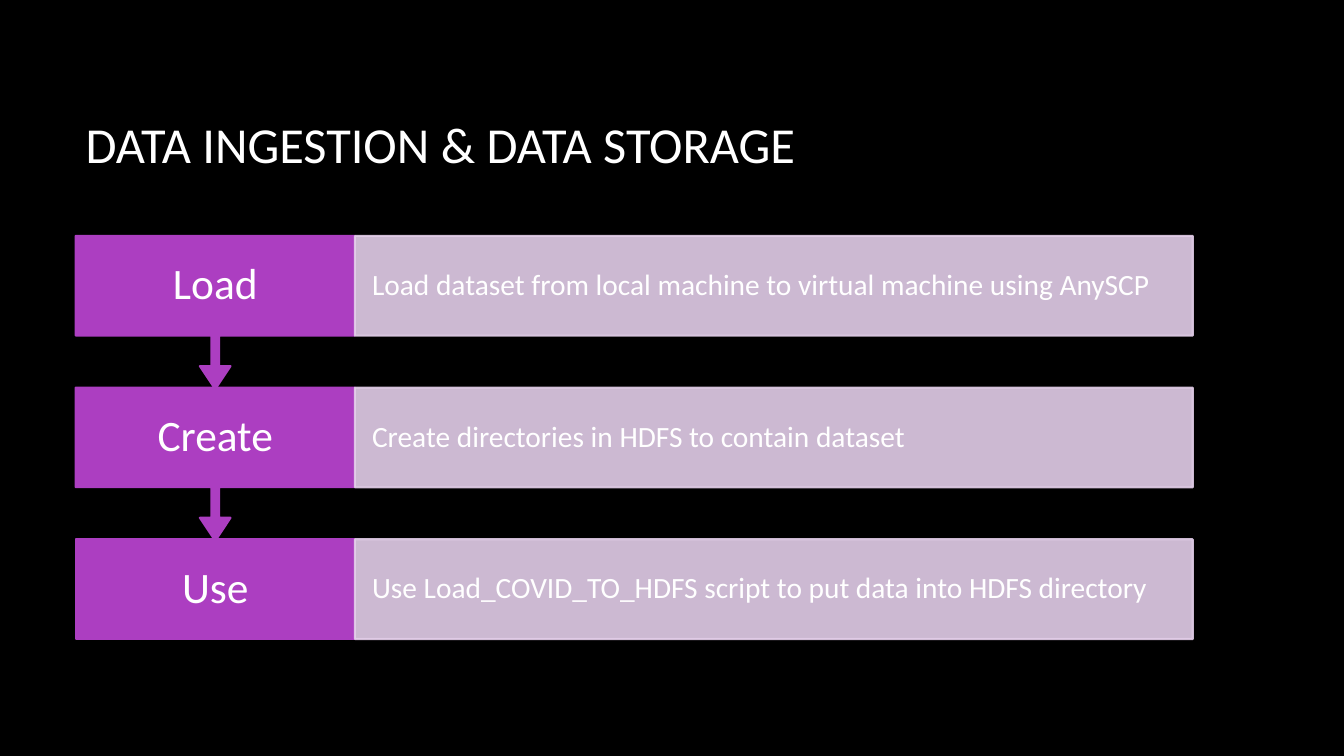
from dataclasses import dataclass

from lxml import etree
from pptx import Presentation
from pptx import util as u
from pptx.dml.color import RGBColor
from pptx.enum import shapes, text
from pptx.oxml.ns import qn


@dataclass(frozen=True)
class Theme:
    font: str = "Calibri"
    background: str = "000000"
    ink: str = "FFFFFF"
    accent: str = "AC3EC1"
    pale: str = "E3CEE9"
    pale_opacity: int = 90
    title_size: int = 36
    step_size: int = 31
    detail_size: int = 21
    line_width: float = 1.5


THEME = Theme()

# Grid in inches: a step column of one unit and a detail column of three
LEFT, UNIT = 0.75, 2.77
TOP, PITCH = 2.34, 1.505
BOX_HEIGHT, CALLOUT_HEIGHT = 0.99, 1.52
CALLOUT_ADJUSTMENTS = (0.05, 0.1, 0.15, 0.65)

STEPS = (
    ("Load", "Load dataset from local machine to virtual machine using AnySCP"),
    ("Create", "Create directories in HDFS to contain dataset"),
    ("Use", "Use Load_COVID_TO_HDFS script to put data into HDFS directory"),
)


def write(sp, words, size, align):
    tf = sp.text_frame
    tf.word_wrap = True
    tf.vertical_anchor = text.MSO_ANCHOR.MIDDLE
    p = tf.paragraphs[0]
    p.text = words
    p.alignment = align
    p.line_spacing = 0.9
    p.font.name = THEME.font
    p.font.size = u.Pt(size)
    p.font.color.rgb = RGBColor.from_string(THEME.ink)


def set_opacity(sp, percent):
    """Apply the opacity to both the fill and the outline."""
    for color in sp.element.spPr.iter(qn("a:srgbClr")):
        etree.SubElement(color, qn("a:alpha"), val=str(percent * 1000))


def add_box(slide, kind, left, top, width, height, color, inset):
    sp = slide.shapes.add_shape(kind, *map(u.Inches, (left, top, width, height)))
    sp.shadow.inherit = False
    sp.fill.solid()
    sp.fill.fore_color.rgb = RGBColor.from_string(color)
    sp.line.color.rgb = RGBColor.from_string(color)
    sp.line.width = u.Pt(THEME.line_width)
    sp.text_frame.margin_left = sp.text_frame.margin_right = u.Inches(inset)
    return sp


def add_step(slide, top, name, is_last):
    """Add a step label, with an arrow to the next step unless it is the last."""
    kind = shapes.MSO_SHAPE.RECTANGLE if is_last else shapes.MSO_SHAPE.DOWN_ARROW_CALLOUT
    height = BOX_HEIGHT if is_last else CALLOUT_HEIGHT
    sp = add_box(slide, kind, LEFT, top, UNIT, height, THEME.accent, 0.2)
    if not is_last:
        for i, value in enumerate(CALLOUT_ADJUSTMENTS):
            sp.adjustments[i] = value
    write(sp, name, THEME.step_size, text.PP_ALIGN.CENTER)


def add_detail(slide, top, words):
    sp = add_box(slide, shapes.MSO_SHAPE.RECTANGLE, LEFT + UNIT, top,
                 3 * UNIT, BOX_HEIGHT, THEME.pale, 0.17)
    set_opacity(sp, THEME.pale_opacity)
    write(sp, words, THEME.detail_size, text.PP_ALIGN.LEFT)


def add_title(slide, words):
    sp = slide.shapes.title
    sp.left, sp.top = u.Inches(LEFT), u.Inches(0.67)
    sp.width, sp.height = u.Inches(4 * UNIT), u.Inches(1.59)
    write(sp, words, THEME.title_size, text.PP_ALIGN.LEFT)


def main():
    prs = Presentation()
    prs.slide_width, prs.slide_height = u.Inches(13.33), u.Inches(7.5)
    slide = prs.slides.add_slide(prs.slide_layouts.get_by_name("Title Only"))
    slide.background.fill.solid()
    slide.background.fill.fore_color.rgb = RGBColor.from_string(THEME.background)

    add_title(slide, "DATA INGESTION & DATA STORAGE")
    last = len(STEPS) - 1
    for row, (name, detail) in reversed(list(enumerate(STEPS))):
        top = TOP + row * PITCH
        add_step(slide, top, name, row == last)
        add_detail(slide, top, detail)

    prs.save("out.pptx")


if __name__ == "__main__":
    main()
